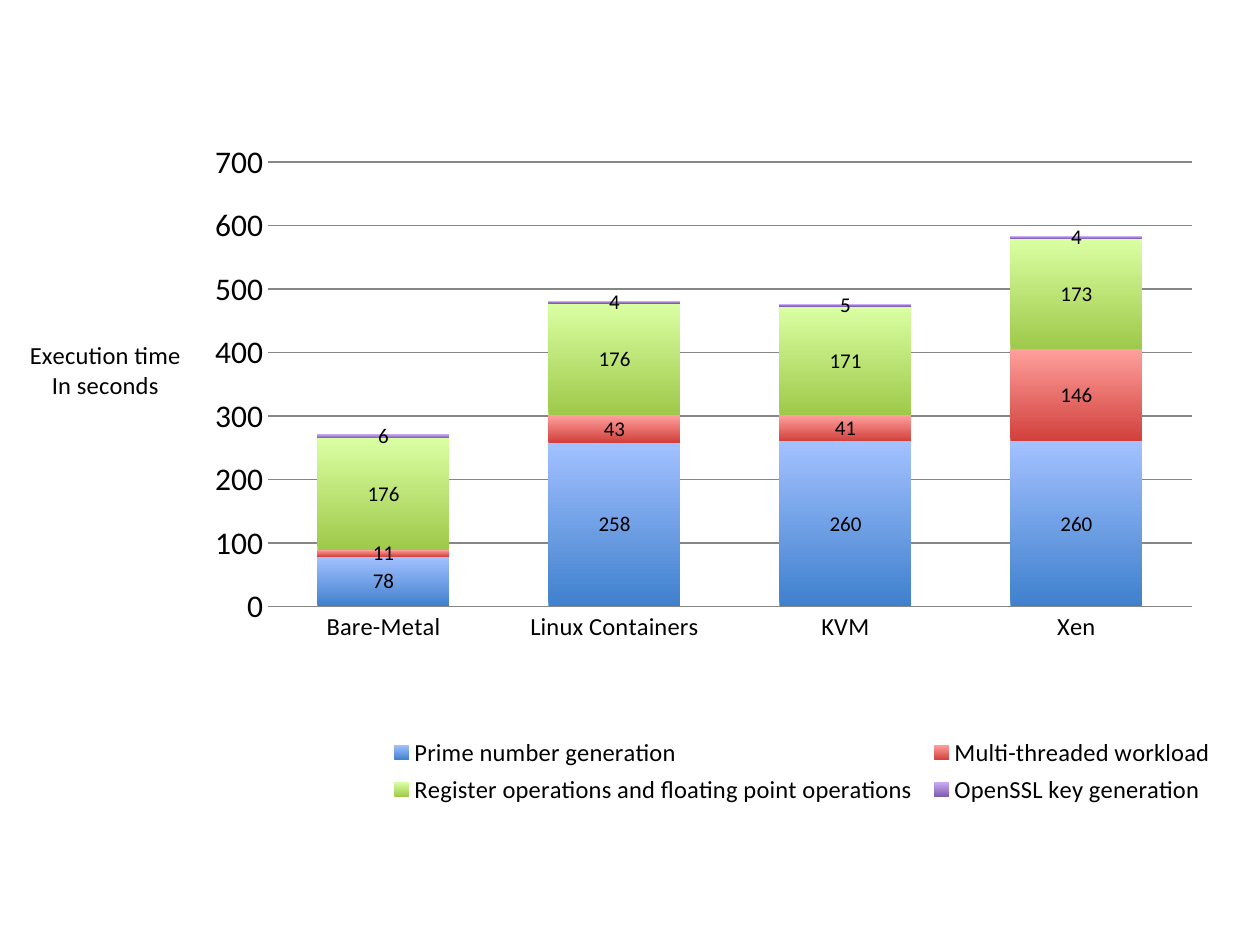
from lxml.etree import SubElement
from pptx import Presentation
from pptx.chart.data import CategoryChartData
from pptx.dml.color import RGBColor
from pptx.enum.chart import XL_CHART_TYPE, XL_LABEL_POSITION, XL_LEGEND_POSITION, XL_TICK_MARK
from pptx.enum.text import PP_ALIGN
from pptx.oxml.ns import qn
from pptx.util import Inches, Pt

NAMES = ["Bare-Metal", "Linux Containers", "KVM", "Xen"]
SERIES = [
    ("Prime number generation", (78, 258, 260, 260), "3F80CD", "A3C1FF"),
    ("Multi-threaded workload", (11, 43, 41, 146), "D1403C", "FFA09D"),
    ("Register operations and floating point operations",
     (176, 176, 171, 173), "9FC94A", "DAFFA3"),
    ("OpenSSL key generation", (6, 4, 5, 4), "7F5BAB", "C9AAF5"),
]
GRAY = "868686"


def color(code):
    return RGBColor.from_string(code)


def style(font, size):
    font.size = Pt(size)
    font.name = "Calibri"
    font.bold = False
    font.color.rgb = color("000000")


def place(part, index, **values):
    for old in part.findall(qn("c:layout")):
        part.remove(old)
    layout = SubElement(part, qn("c:layout"))
    manual = SubElement(layout, qn("c:manualLayout"))
    for key, value in values.items():
        SubElement(manual, qn(f"c:{key}")).set("val", str(value))
    part.insert(index, layout)


def add_chart(slide):
    data = CategoryChartData(number_format="0")
    data.categories = NAMES
    for name, values, *_ in SERIES:
        data.add_series(name, values)
    frame = slide.shapes.add_chart(
        XL_CHART_TYPE.COLUMN_STACKED, Inches(0.11), Inches(0.23),
        Inches(9.7), Inches(7.14), data)
    chart = frame.chart
    chart.has_title = False
    style(chart.font, 18)
    place(chart.element.find(".//" + qn("c:plotArea")), 0,
          layoutTarget="inner", xMode="edge", yMode="edge",
          x=0.208, y=0.148, w=0.756, h=0.494)
    return chart


def paint_bars(chart):
    plot = chart.plots[0]
    plot.gap_width = 75
    plot.overlap = 100
    plot.vary_by_categories = False
    for series, (_, _, low, high) in zip(plot.series, SERIES):
        fill = series.format.fill
        fill.gradient()
        fill.gradient_angle = 90
        for stop, code, spot in zip(fill.gradient_stops, (low, high), (0, 1)):
            stop.color.rgb = color(code)
            stop.position = spot
        labels = series.data_labels
        labels.show_value = True
        labels.position = XL_LABEL_POSITION.CENTER
        style(labels.font, 12)


def set_axes(chart):
    base, scale = chart.category_axis, chart.value_axis
    for axis, size in ((base, 14), (scale, 18)):
        axis.major_tick_mark = XL_TICK_MARK.NONE
        axis.minor_tick_mark = XL_TICK_MARK.NONE
        style(axis.tick_labels.font, size)
    scale.minimum_scale, scale.maximum_scale, scale.major_unit = 0, 700, 100
    scale.has_major_gridlines = True
    scale.format.line.fill.background()
    for line in (base.format.line, scale.major_gridlines.format.line):
        line.color.rgb = color(GRAY)
        line.width = Pt(0.75)


def add_title(axis):
    title = axis.axis_title
    frame = title.text_frame
    for index, text in enumerate(("Execution time", "In seconds")):
        para = frame.add_paragraph() if index else frame.paragraphs[0]
        para.alignment = PP_ALIGN.CENTER
        run = para.add_run()
        run.text = text
        style(run.font, 14)
    body = frame._txBody.find(qn("a:bodyPr"))
    body.set("rot", "0")
    body.set("vert", "horz")
    place(frame._txBody.getparent().getparent(), 1,
          xMode="edge", yMode="edge", x=0.01, y=0.34)


def add_legend(chart):
    chart.has_legend = True
    legend = chart.legend
    legend.position = XL_LEGEND_POSITION.BOTTOM
    legend.include_in_layout = False
    style(legend.font, 14)
    place(chart.element.find(".//" + qn("c:legend")), 1,
          xMode="edge", yMode="edge", x=0.3, y=0.78, w=0.69, h=0.09)


def main():
    deck = Presentation()
    deck.slide_width, deck.slide_height = Inches(10), Inches(7.5)
    slide = deck.slides.add_slide(deck.slide_layouts[6])
    chart = add_chart(slide)
    paint_bars(chart)
    set_axes(chart)
    add_title(chart.value_axis)
    add_legend(chart)
    deck.save("out.pptx")


if __name__ == "__main__":
    main()
